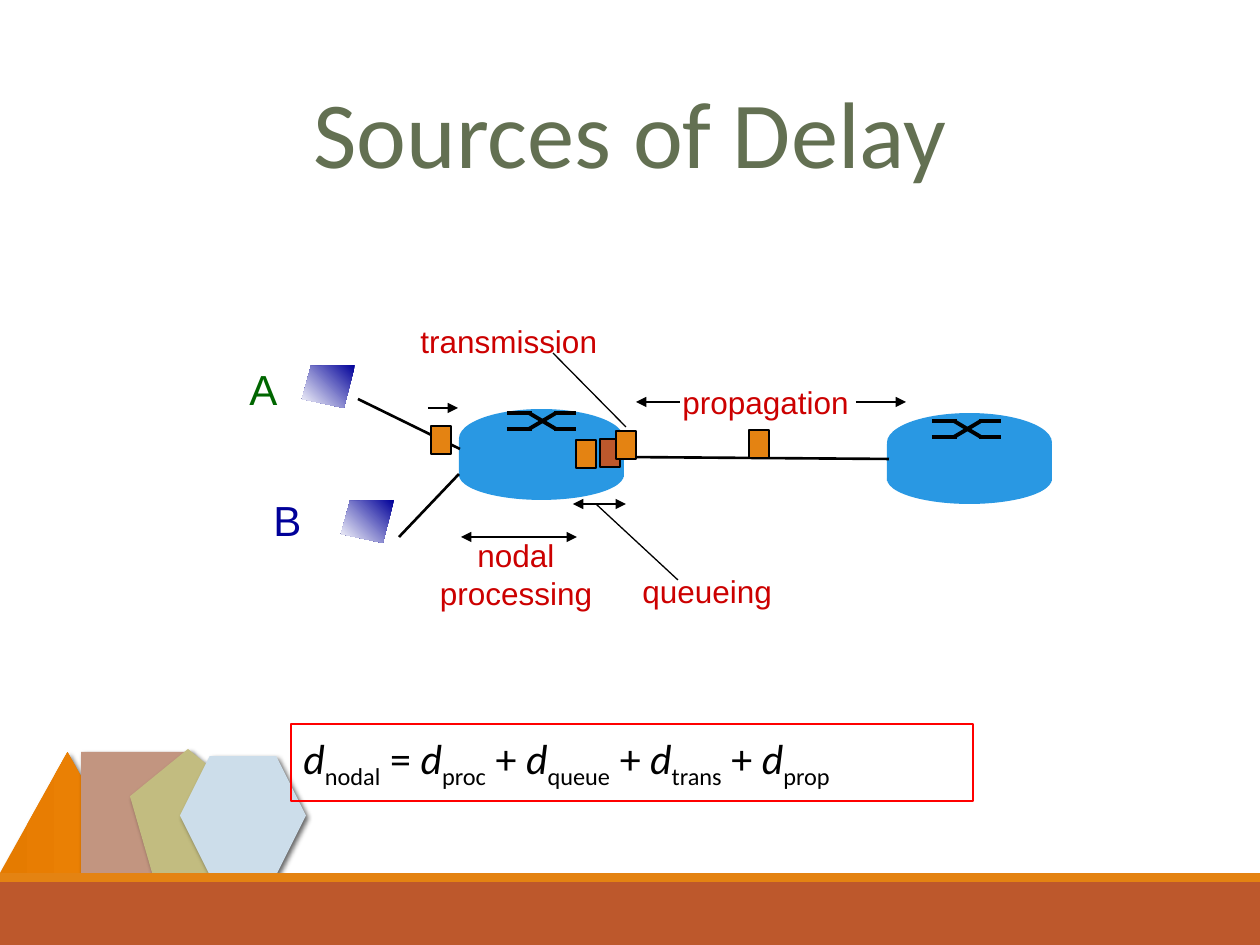
from lxml import etree
from pptx import Presentation
from pptx.dml.color import RGBColor
from pptx.enum.shapes import MSO_CONNECTOR, MSO_SHAPE
from pptx.enum.text import MSO_ANCHOR, MSO_AUTO_SIZE, PP_ALIGN
from pptx.oxml.ns import qn
from pptx.util import Emu, Pt

PX = 914400 / 126
RECT, ELLIPSE = MSO_SHAPE.RECTANGLE, MSO_SHAPE.OVAL
TRIANGLE = MSO_SHAPE.ISOSCELES_TRIANGLE
PENTAGON, HEXAGON = MSO_SHAPE.REGULAR_PENTAGON, MSO_SHAPE.HEXAGON
LEFT, CENTER = PP_ALIGN.LEFT, PP_ALIGN.CENTER

ORANGE, RUST, BLUE, BLACK = "E48312", "BD582C", "2998E3", "000000"
RED, GREEN, NAVY = "CC0000", "006600", "000099"

# Boxes are left, top, width, height; lines are x1, y1, x2, y2; all in px.
ORNAMENTS = [
    (TRIANGLE, (0, 752, 135, 121), ("E57B00", "EF8407")),
    (RECT, (81, 752, 110, 121), "C29580"),
    (PENTAGON, (130, 749, 116, 124), "C2BC80"),
    (HEXAGON, (180, 756, 126, 119), "CCDDEA"),
]
FOOTER = [((0, 882, 1260, 63), RUST), ((0, 873, 1260, 9), ORANGE)]

ROUTERS = [((459, 409), (507, 413)), ((887, 413), (932, 421))]  # body, cross
ROUTER_PARTS = [(ELLIPSE, 41, 50), (RECT, 31, 37), (ELLIPSE, 0, 59)]
ROUTER_WIDTH = 165
CROSS = [(0, 0, 25, 0), (47, 16, 69, 16), (22, 0, 49, 16),
         (0, 16, 25, 16), (47, 0, 69, 0), (22, 16, 49, 0)]

HOSTS = [(302, 365), (341, 500)]
HOST_OUTLINE = [(53, 0), (9, 1), (0, 34), (42, 43)]
LINKS = [(622, 457, 889, 459), (358, 399, 460, 449), (399, 537, 459, 474)]
PACKETS = [(749, 430, ORANGE), (576, 440, ORANGE), (600, 439, RUST),
           (616, 431, ORANGE), (431, 426, ORANGE)]

ARROWS = [
    ((856, 402, 906, 402), ("tailEnd",)),
    ((680, 402, 636, 402), ("tailEnd",)),
    ((428, 408, 458, 408), ("tailEnd",)),
    ((577, 537, 461, 537), ("headEnd", "tailEnd")),
    ((626, 504, 573, 504), ("headEnd", "tailEnd")),
    ((678, 580, 596, 504), ()),
    ((553, 353, 626, 427), ()),
]
LABELS = [
    ("propagation", (670, 377, 192, 50), 18, RED, LEFT),
    ("nodal\nprocessing", (427, 530, 178, 88), 18, RED, CENTER),
    ("queueing", (630, 566, 155, 50), 18, RED, LEFT),
    ("transmission", (408, 316, 202, 50), 18, RED, LEFT),
    ("A", (237, 357, 53, 63), 24, GREEN, LEFT),
    ("B", (261, 488, 53, 63), 24, NAVY, LEFT),
]
DELAY_TERMS = ["nodal", "proc", "queue", "trans", "prop"]
OPERATORS = ["", " = ", " + ", " + ", " + "]


def px(*values):
    return [Emu(round(v * PX)) for v in values]


def color(hex_string):
    return RGBColor.from_string(hex_string)


def set_gradient(s, start, end, angle):
    s.fill.gradient()
    s.fill.gradient_angle = angle
    for stop, hex_string in zip(s.fill.gradient_stops, (start, end)):
        stop.color.rgb = color(hex_string)


def add_shape(kind, box, fill=None, line=None, width=0.75):
    s = slide.shapes.add_shape(kind, *px(*box))
    s.shadow.inherit = False
    if isinstance(fill, tuple):
        set_gradient(s, *fill, 0)
    elif fill:
        s.fill.solid()
        s.fill.fore_color.rgb = color(fill)
    else:
        s.fill.background()
    if line:
        s.line.color.rgb = color(line)
        s.line.width = Pt(width)
    else:
        s.line.fill.background()
    return s


def add_drop_shadow(s):
    effects = s._element.spPr.find(qn("a:effectLst"))
    shadow = etree.SubElement(effects, qn("a:outerShdw"), blurRad="38100",
                              dist="25400", dir="2700000", rotWithShape="0")
    black = etree.SubElement(shadow, qn("a:srgbClr"), val=BLACK)
    etree.SubElement(black, qn("a:alpha"), val="60000")


def add_line(points, width, ends=()):
    s = slide.shapes.add_connector(MSO_CONNECTOR.STRAIGHT, *px(*points))
    s.line.color.rgb = color(BLACK)
    s.line.width = Pt(width)
    for end in ends:
        etree.SubElement(s.line._get_or_add_ln(), qn("a:" + end), type="triangle")
    etree.SubElement(s._element.spPr, qn("a:effectLst"))


def add_host(x, y):
    points = [(x + dx, y + dy) for dx, dy in HOST_OUTLINE]
    builder = slide.shapes.build_freeform(*points[0], scale=PX)
    builder.add_line_segments(points[1:])
    s = builder.convert_to_shape()
    s.shadow.inherit = False
    s.line.fill.background()
    set_gradient(s, NAVY, "FFFFFF", 225)


def style_run(r, name, size, hex_string):
    r.font.name = name
    r.font.size = Pt(size)
    r.font.color.rgb = color(hex_string)


def add_label(text, box, size, hex_string, align):
    tf = slide.shapes.add_textbox(*px(*box)).text_frame
    tf.text = text
    tf.word_wrap = False
    tf.auto_size = MSO_AUTO_SIZE.SHAPE_TO_FIT_TEXT
    for p in tf.paragraphs:
        p.alignment = align
        for r in p.runs:
            style_run(r, "Arial", size, hex_string)


def add_title(text):
    tf = slide.shapes.add_textbox(*px(63, 73, 1134, 147)).text_frame
    tf.word_wrap = True
    tf.margin_top, = px(13)
    p = tf.paragraphs[0]
    p.text = text
    p.alignment = CENTER
    p.line_spacing = Pt(58)
    style_run(p.runs[0], "Calibri", 54, "637052")


def add_formula():
    tf = add_shape(RECT, (291, 724, 682, 77), line="FF0000", width=1.5).text_frame
    tf.word_wrap = True
    tf.vertical_anchor = MSO_ANCHOR.TOP
    tf.margin_top, = px(12)
    p = tf.paragraphs[0]
    p.alignment = LEFT
    p.line_spacing = 0.85
    for operator, term in zip(OPERATORS, DELAY_TERMS):
        for text, italic, baseline in ((operator, False, 0), ("d", True, 0),
                                       (term, False, -25000)):
            if text:
                r = p.add_run()
                r.text = text
                style_run(r, "Calibri", 24, BLACK)
                r.font.italic = italic
                r._r.get_or_add_rPr().set("baseline", str(baseline))


prs = Presentation()
prs.slide_width, prs.slide_height = px(1260, 945)
slide = prs.slides.add_slide(prs.slide_layouts[6])

for kind, box, fill in ORNAMENTS:
    add_drop_shadow(add_shape(kind, box, fill))
for box, fill in FOOTER:
    add_shape(RECT, box, fill)

for (x, y), (cross_x, cross_y) in ROUTERS:
    for kind, dy, height in ROUTER_PARTS:
        add_shape(kind, (x, y + dy, ROUTER_WIDTH, height), BLUE)
    for x1, y1, x2, y2 in CROSS:
        add_line((cross_x + x1, cross_y + y1, cross_x + x2, cross_y + y2), 2.25)

for points in LINKS:
    add_line(points, 1.5)
for x, y, fill in PACKETS:
    add_shape(RECT, (x, y, 20, 28), fill, BLACK)
for x, y in HOSTS:
    add_host(x, y)
for points, ends in ARROWS:
    add_line(points, 0.75, ends)
for label in LABELS:
    add_label(*label)
add_formula()
add_title("Sources of Delay")

prs.save("out.pptx")
